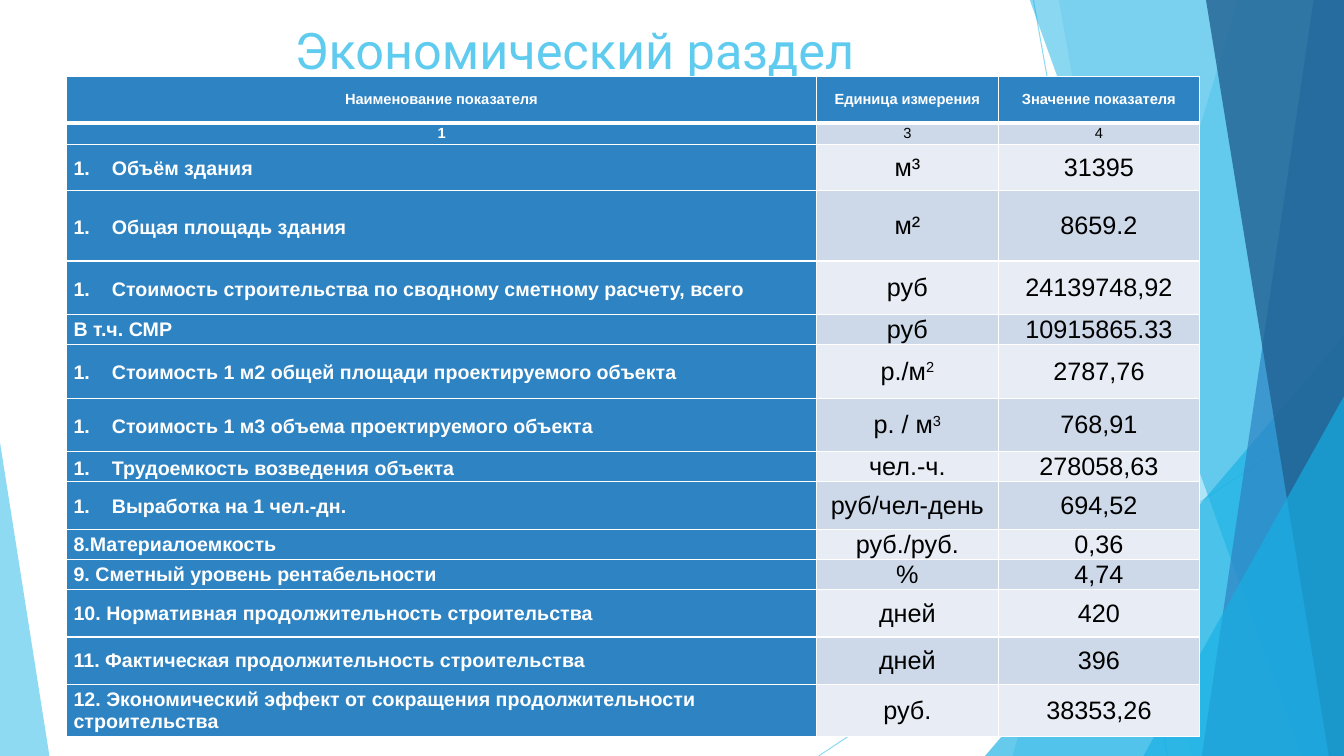
from dataclasses import dataclass

from lxml import etree
from pptx import Presentation
from pptx.dml.color import RGBColor
from pptx.enum.shapes import MSO_CONNECTOR, MSO_SHAPE
from pptx.enum.text import MSO_ANCHOR, PP_ALIGN
from pptx.oxml.ns import qn
from pptx.util import Inches, Pt

STRAIGHT = MSO_CONNECTOR.STRAIGHT
TRIANGLE = MSO_SHAPE.ISOSCELES_TRIANGLE
TOP, MIDDLE = MSO_ANCHOR.TOP, MSO_ANCHOR.MIDDLE
LEFT, CENTER = PP_ALIGN.LEFT, PP_ALIGN.CENTER

WHITE, BLACK = "FFFFFF", "000000"
SKY, CYAN, BLUE, NAVY = "5FCBEF", "17B0E4", "2E83C3", "226292"
BANDS = ("E8EDF5", "CDD9E9")
RIGHT_EDGE, TOP_EDGE, BOTTOM_EDGE = 13.33, -0.01, 7.5


@dataclass
class Ray:
    start: tuple[float, float]
    end: tuple[float, float]


@dataclass
class Band:
    top_x: float
    bottom_x: float
    color: str
    alpha: int


@dataclass
class Corner:
    left: float
    top: float
    width: float
    apex: float
    color: str
    alpha: int


@dataclass
class Row:
    height: float
    name: str
    unit: str
    value: str
    numbered: bool = False


RAYS = [Ray((10.25, 0), (11.58, 7.5)), Ray((13.33, 4.03), (8.12, 7.5))]

FACETS = [
    Band(12.28, 10.04, SKY, 36),
    Band(10.5, 11.82, SKY, 20),
    Corner(9.77, 3.33, 3.56, 1, CYAN, 66),
    Band(10.21, 12.91, CYAN, 50),
    Band(13.03, 11.92, BLUE, 70),
    Band(11.96, 13.18, NAVY, 80),
    Corner(11.34, 3.93, 1.99, 1, CYAN, 66),
    Corner(0, 4.39, 0.49, 0, SKY, 70),
]

COLUMNS = (7.44, 1.8, 2)
ROWS = [
    Row(0.46, "Наименование показателя", "Единица измерения", "Значение показателя"),
    Row(0.21, "1", "3", "4"),
    Row(0.46, "Объём здания", "м³", "31395", True),
    Row(0.7, "Общая площадь здания", "м²", "8659.2", True),
    Row(0.53, "Стоимость строительства по сводному сметному расчету, всего",
        "руб", "24139748,92", True),
    Row(0.26, "В т.ч. СМР", "руб", "10915865.33"),
    Row(0.53, "Стоимость 1 м2 общей площади проектируемого объекта",
        "р./м^2", "2787,76", True),
    Row(0.53, "Стоимость 1 м3 объема проектируемого объекта",
        "р. / м^3", "768,91", True),
    Row(0.28, "Трудоемкость возведения объекта", "чел.-ч.", "278058,63", True),
    Row(0.47, "Выработка на 1 чел.-дн.", "руб/чел-день", "694,52", True),
    Row(0.26, "8.Материалоемкость", "руб./руб.", "0,36"),
    Row(0.26, "9. Сметный уровень рентабельности", "%", "4,74"),
    Row(0.47, "10. Нормативная продолжительность строительства", "дней", "420"),
    Row(0.47, "11. Фактическая продолжительность строительства", "дней", "396"),
    Row(0.52, "12. Экономический эффект от сокращения продолжительности строительства",
        "руб.", "38353,26"),
]


def rgb(color: str) -> RGBColor:
    return RGBColor.from_string(color)


def set_alpha(sp_pr, alpha: int) -> None:
    clr = next(sp_pr.iter(qn("a:srgbClr")))
    etree.SubElement(clr, qn("a:alpha"), val=str(alpha * 1000))


def set_font(p, name: str, size: float, color: str, bold: bool = False) -> None:
    p.font.name = name
    p.font.size = Pt(size)
    p.font.bold = bold
    p.font.color.rgb = rgb(color)


def add_ray(s, ray: Ray) -> None:
    ends = [Inches(v) for v in (*ray.start, *ray.end)]
    line = s.shapes.add_connector(STRAIGHT, *ends)
    line.line.color.rgb = rgb(SKY)
    line.line.width = Pt(0.75)
    sp_pr = line._element.spPr
    set_alpha(sp_pr, 70)
    etree.SubElement(sp_pr, qn("a:effectLst"))


def add_facet(s, facet: Band | Corner) -> None:
    if isinstance(facet, Corner):
        sp = s.shapes.add_shape(TRIANGLE, Inches(facet.left), Inches(facet.top),
                                Inches(facet.width), Inches(BOTTOM_EDGE - facet.top))
        sp.adjustments[0] = facet.apex
    else:
        outline = [(RIGHT_EDGE, TOP_EDGE), (RIGHT_EDGE, BOTTOM_EDGE),
                   (facet.bottom_x, BOTTOM_EDGE)]
        builder = s.shapes.build_freeform(Inches(facet.top_x), Inches(TOP_EDGE))
        builder.add_line_segments([(Inches(x), Inches(y)) for x, y in outline])
        sp = builder.convert_to_shape()
    sp.shadow.inherit = False
    sp.fill.solid()
    sp.fill.fore_color.rgb = rgb(facet.color)
    set_alpha(sp._element.spPr, facet.alpha)
    sp.line.fill.background()


def add_title(s, text: str) -> None:
    sp = s.shapes.add_textbox(Inches(1), Inches(0.14), Inches(9.4), Inches(0.89))
    tf = sp.text_frame
    tf.word_wrap = True
    tf.vertical_anchor = TOP
    p = tf.paragraphs[0]
    p.text = text
    p.alignment = CENTER
    set_font(p, "Roboto", 36, SKY)


def set_borders(cell, row: int) -> None:
    tc_pr = cell._tc.get_or_add_tcPr()
    widths = {"L": 1, "R": 1, "T": 3 if row == 1 else 1, "B": 3 if row == 0 else 1}
    for i, (side, width) in enumerate(widths.items()):
        ln = etree.Element(qn(f"a:ln{side}"), w=str(Pt(width)))
        fill = etree.SubElement(ln, qn("a:solidFill"))
        etree.SubElement(fill, qn("a:srgbClr"), val=WHITE)
        tc_pr.insert(i, ln)


def indent_name(p, numbered: bool) -> None:
    p_pr = p._p.get_or_add_pPr()
    margin, indent = (0.38, -0.38) if numbered else (0, -0.02)
    p_pr.set("marL", str(Inches(margin)))
    p_pr.set("indent", str(Inches(indent)))
    if numbered:
        etree.SubElement(p_pr, qn("a:buFont"), typeface="+mj-lt")
        etree.SubElement(p_pr, qn("a:buAutoNum"), type="arabicPeriod")
    tabs = etree.SubElement(p_pr, qn("a:tabLst"))
    etree.SubElement(tabs, qn("a:tab"), pos=str(Inches(0.18)), algn="l")
    if numbered:
        p.line_spacing = 1.15
        p.space_after = Pt(10)


def fill_cell(cell, text: str, row: int, col: int, numbered: bool) -> None:
    heading = row == 0 or col == 0
    cell.margin_left = cell.margin_right = Inches(0.07)
    cell.margin_top = cell.margin_bottom = 0
    cell.vertical_anchor = MIDDLE
    cell.fill.solid()
    cell.fill.fore_color.rgb = rgb(BLUE if heading else BANDS[row % 2])
    set_borders(cell, row)
    p = cell.text_frame.paragraphs[0]
    base, _, power = text.partition("^")
    p.add_run().text = base
    if power:
        r = p.add_run()
        r.text = power
        r.font._element.set("baseline", "30000")
    is_name = row > 1 and col == 0
    p.alignment = LEFT if is_name else CENTER
    if is_name:
        indent_name(p, numbered)
    size = 10.5 if row < 2 else 14 if col == 0 else 18
    set_font(p, "Arial", size, WHITE if heading else BLACK, heading)


def add_indicators(s) -> None:
    frame = s.shapes.add_table(len(ROWS), len(COLUMNS), Inches(0.66), Inches(0.76),
                               Inches(sum(COLUMNS)), Inches(sum(r.height for r in ROWS)))
    table = frame.table
    for column, width in zip(table.columns, COLUMNS):
        column.width = Inches(width)
    for i, row in enumerate(ROWS):
        table.rows[i].height = Inches(row.height)
        for j, text in enumerate((row.name, row.unit, row.value)):
            fill_cell(table.cell(i, j), text, i, j, row.numbered)


def main() -> None:
    prs = Presentation()
    prs.slide_width, prs.slide_height = Inches(13.33), Inches(7.5)
    s = prs.slides.add_slide(prs.slide_layouts[6])
    for ray in RAYS:
        add_ray(s, ray)
    for facet in FACETS:
        add_facet(s, facet)
    add_title(s, "Экономический раздел")
    add_indicators(s)
    prs.save("out.pptx")


if __name__ == "__main__":
    main()
